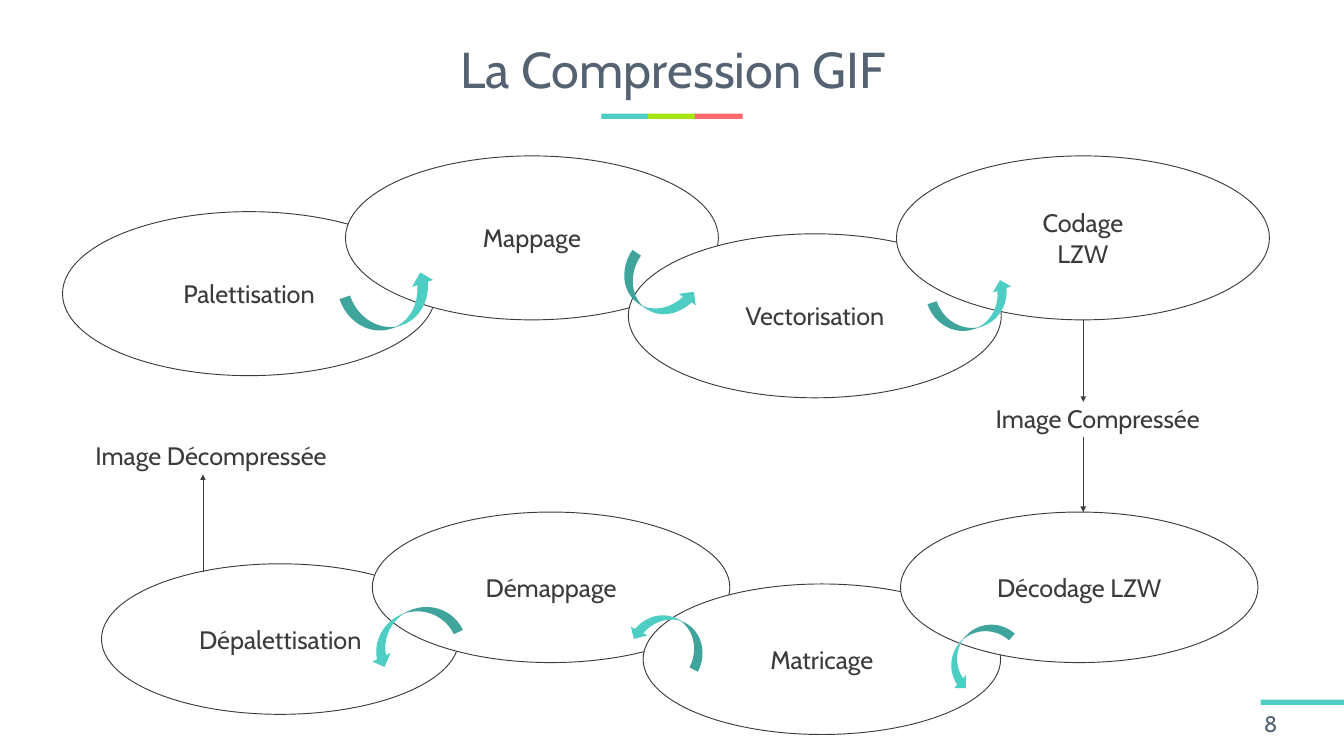
from lxml.etree import SubElement
from pptx import Presentation
from pptx.dml.color import RGBColor
from pptx.enum.shapes import MSO_CONNECTOR, MSO_SHAPE
from pptx.enum.text import MSO_ANCHOR, PP_ALIGN
from pptx.oxml.ns import qn
from pptx.util import Inches, Pt

TURQUOISE = RGBColor(0x4E, 0xCD, 0xC4)
GREEN = RGBColor(0xA3, 0xE5, 0x11)
CORAL = RGBColor(0xFF, 0x6B, 0x6B)
SLATE = RGBColor(0x55, 0x62, 0x72)
DARK = RGBColor(0x3B, 0x3B, 0x3B)
WHITE = RGBColor(0xFF, 0xFF, 0xFF)
FONT = "Cabin"

CODING_SIZE = (5.55, 2.44)
CODING_STEPS = [
    ("Palettisation", 0.93, 3.15),
    ("Mappage", 5.14, 2.32),
    ("Vectorisation", 9.35, 3.48),
    ("Codage\nLZW", 13.34, 2.32),
]
CODING_ARROWS = [
    (13.86, 4.31, 1.28, 0.57, 341.5),
    (5.12, 4.21, 1.43, 0.66, 341.8),
    (9.13, 4.02, 1.26, 0.61, 34.3),
]
DECODING_SIZE = (5.32, 2.24)
DECODING_STEPS = [
    ("Dépalettisation", 1.51, 8.39),
    ("Démappage", 5.54, 7.62),
    ("Matricage", 9.57, 8.69),
    ("Décodage LZW", 13.4, 7.62),
]
DECODING_ARROWS = [
    (13.89, 9.45, 1.22, 0.52, 132),
    (5.39, 9.11, 1.44, 0.6, 154.7),
    (9.37, 9.19, 1.21, 0.56, 207.1),
]
FLOW_LINES = [
    (16.12, 4.76, 5.98),
    (16.12, 6.5, 7.62),
    (3.02, 8.51, 7.06),
]


def write_text(shape, text, size=27, color=DARK, align=PP_ALIGN.CENTER,
               anchor=MSO_ANCHOR.MIDDLE, line_spacing=None):
    frame = shape.text_frame
    frame.word_wrap = True
    frame.vertical_anchor = anchor
    frame.text = text
    for paragraph in frame.paragraphs:
        paragraph.alignment = align
        paragraph.line_spacing = line_spacing
        font = paragraph.runs[0].font
        font.name = FONT
        font.size = Pt(size)
        font.color.rgb = color


def add_label(slide, text, left, top, width, height, **text_format):
    box = slide.shapes.add_textbox(*map(Inches, (left, top, width, height)))
    write_text(box, text, **text_format)


def add_filled(slide, kind, left, top, width, height, color):
    shape = slide.shapes.add_shape(kind, *map(Inches, (left, top, width, height)))
    shape.shadow.inherit = False
    shape.fill.solid()
    shape.fill.fore_color.rgb = color
    shape.line.fill.background()
    return shape


def add_step(slide, text, left, top, size):
    ellipse = add_filled(slide, MSO_SHAPE.OVAL, left, top, *size, WHITE)
    ellipse.line.color.rgb = DARK
    ellipse.line.width = Pt(1)
    write_text(ellipse, text)


def add_chain(slide, steps, size, arrows):
    for text, left, top in steps:
        add_step(slide, text, left, top, size)
    for left, top, width, height, rotation in arrows:
        arrow = add_filled(slide, MSO_SHAPE.CURVED_UP_ARROW,
                           left, top, width, height, TURQUOISE)
        arrow.rotation = rotation


def add_flow_line(slide, x, start, end):
    connector = slide.shapes.add_connector(
        MSO_CONNECTOR.STRAIGHT, *map(Inches, (x, start, x, end)))
    connector.line.color.rgb = DARK
    connector.line.width = Pt(0.5)
    SubElement(connector.line._get_or_add_ln(), qn("a:tailEnd"), type="triangle")
    SubElement(connector._element.spPr, qn("a:effectLst"))


def add_frame(slide):
    for index, color in enumerate((TURQUOISE, GREEN, CORAL)):
        add_filled(slide, MSO_SHAPE.RECTANGLE,
                   8.95 + 0.695 * index, 1.69, 0.71, 0.08, color)
    add_filled(slide, MSO_SHAPE.RECTANGLE, 18.76, 10.41, 1.24, 0.08, TURQUOISE)
    add_label(slide, "La Compression GIF", 0.54, 0.38, 18.96, 1.4,
              size=54, color=SLATE, line_spacing=0.9)
    add_label(slide, "8", 18.71, 10.5, 1.29, 0.53,
              size=24, color=SLATE, align=PP_ALIGN.LEFT)


def main():
    presentation = Presentation()
    presentation.slide_width = Inches(20)
    presentation.slide_height = Inches(11.25)
    slide = presentation.slides.add_slide(presentation.slide_layouts[6])
    add_frame(slide)
    add_chain(slide, CODING_STEPS, CODING_SIZE, CODING_ARROWS)
    add_chain(slide, DECODING_STEPS, DECODING_SIZE, DECODING_ARROWS)
    add_label(slide, "Image Compressée", 13.46, 5.95, 5.75, 0.56,
              anchor=MSO_ANCHOR.TOP)
    add_label(slide, "Image Décompressée", 1.14, 6.5, 4, 0.56,
              anchor=MSO_ANCHOR.TOP)
    for x, start, end in FLOW_LINES:
        add_flow_line(slide, x, start, end)
    presentation.save("out.pptx")


if __name__ == "__main__":
    main()
